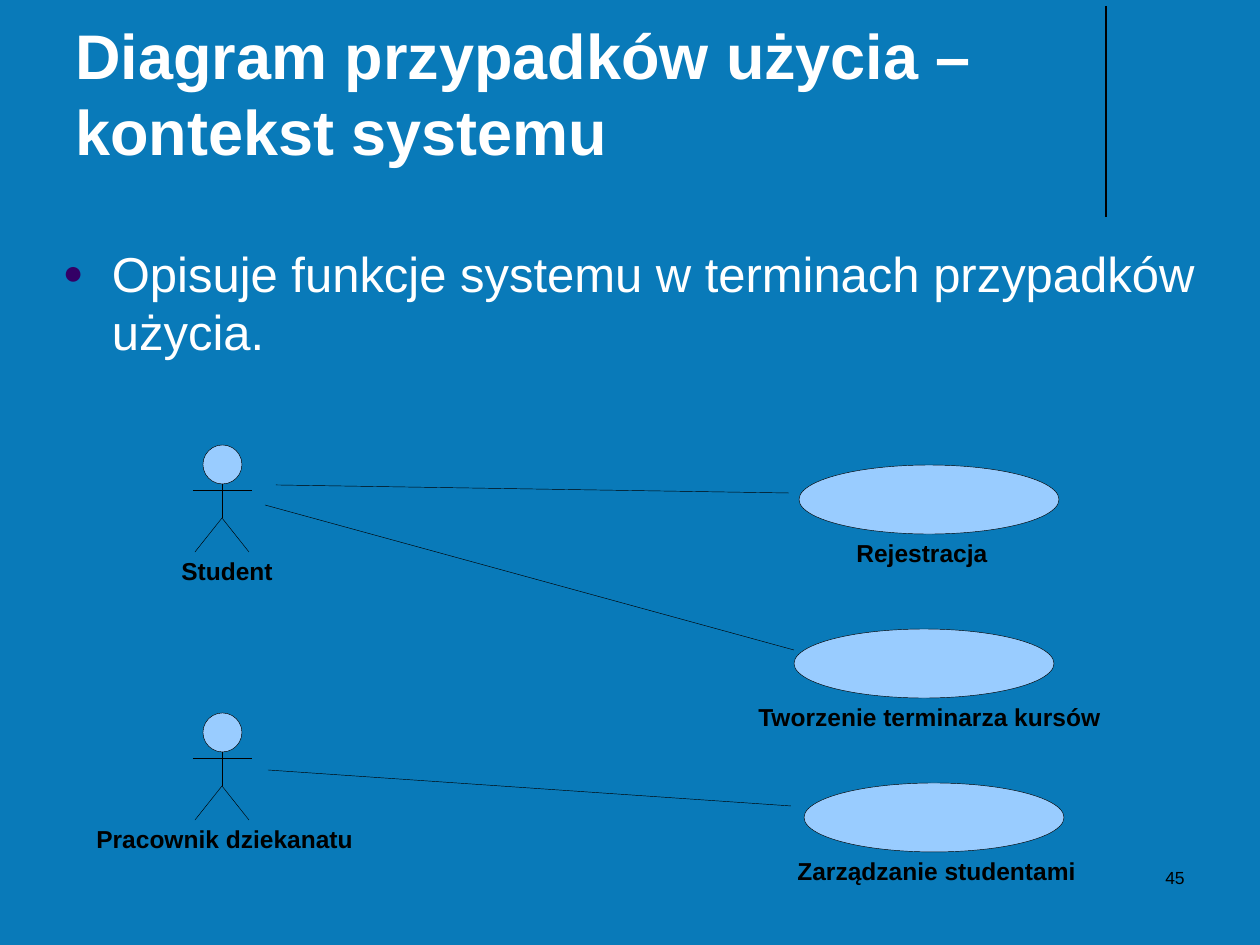
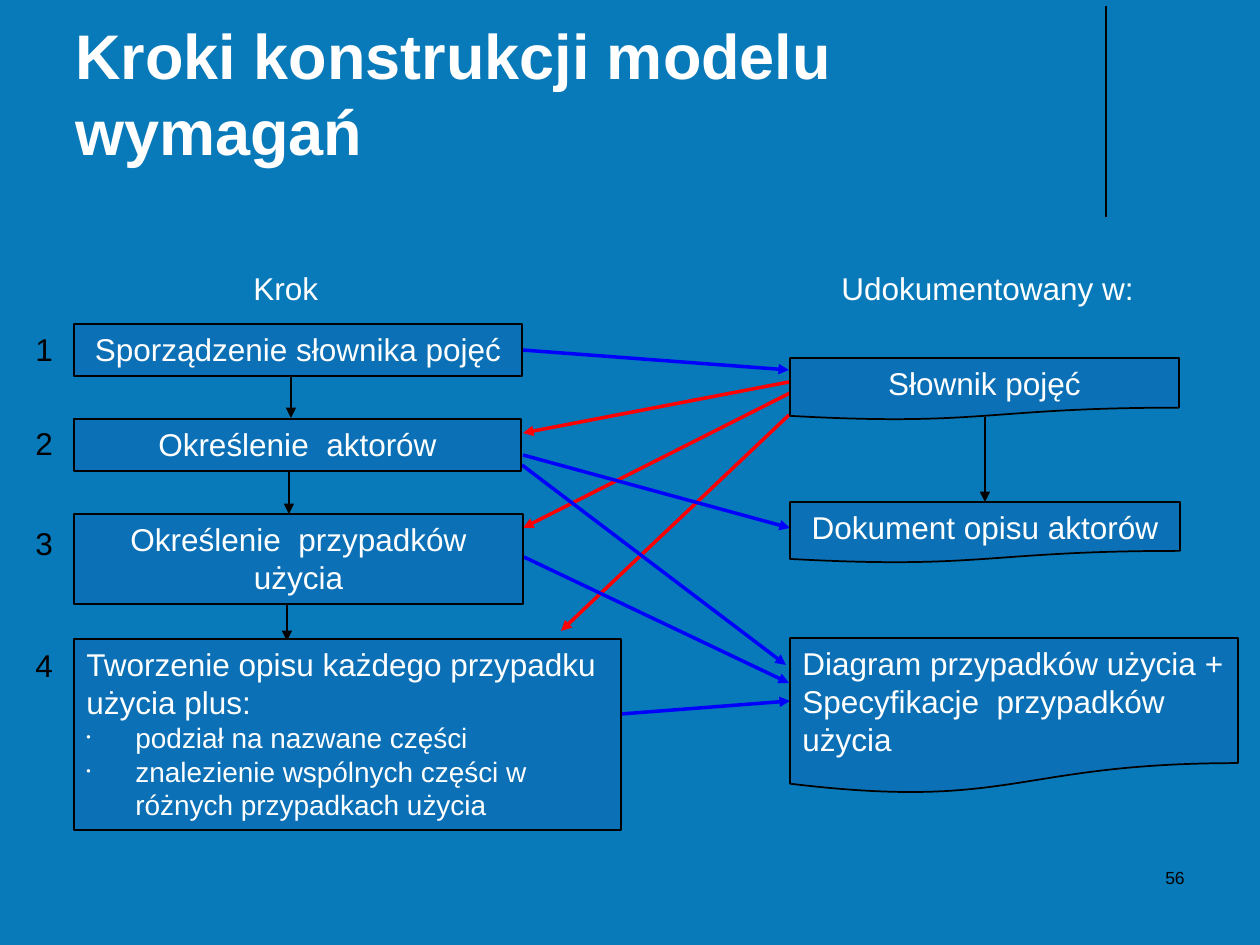
import pptx
import pptx.util
import pptx.dml.color
import pptx.enum.shapes
import pptx.enum.text
import pptx.oxml.ns
from lxml import etree

# ---- Shared style ----
PX = 914400 / 126
SIZE = (1260, 945)
FONT = "Arial"
HAIRLINE = 0.25
COLORS = {
    "background": "097AB9", "box": "0B70B5", "figure": "99CCFF",
    "white": "FFFFFF", "black": "000000", "bullet": "330066",
    "red": "FF0000", "blue": "0000FF",
}
TITLE_BOX = (63, 4, 1040, 170)
NUMBER_BOX = (903, 861, 294, 63)
RULE = (1106, 6, 1106, 217)
INDENT = 49
SHAPES = pptx.enum.shapes.MSO_SHAPE
ALIGN = pptx.enum.text.PP_ALIGN
ANCHOR = pptx.enum.text.MSO_ANCHOR

# ---- Use case diagram content ----
CONTEXT_TITLE = "Diagram przypadków użycia – kontekst systemu"
CONTEXT_POINT = "Opisuje funkcje systemu w terminach przypadków użycia."
CONTEXT_BOX = (63, 243, 1134, 120)
ACTOR_X = 222
ACTORS = [  # name, top of head, label left, label width
    ("Student", 445, 169, 126),
    ("Pracownik dziekanatu", 713, 84, 292),
]
USE_CASES = [  # name, ellipse left, ellipse top, label left, label width
    ("Rejestracja", 799, 465, 844, 166),
    ("Tworzenie terminarza kursów", 794, 629, 746, 379),
    ("Zarządzanie studentami", 804, 783, 785, 314),
]
ASSOCIATIONS = [(276, 485, 789, 493), (265, 505, 794, 650), (268, 770, 791, 806)]

# ---- Requirements model content ----
STEPS_TITLE = "Kroki konstrukcji modelu wymagań"
HEADINGS = [("Krok", (241, 263, 110, 50)), ("Udokumentowany w:", (829, 263, 328, 50))]
STEP_NUMBER_TOPS = [324, 418, 518, 640]
STEPS = [  # box, alignment, lines, bulleted lines
    ((74, 324, 448, 52), "CENTER", ["Sporządzenie słownika pojęć"], []),
    ((74, 419, 447, 52), "CENTER", ["Określenie  aktorów"], []),
    ((74, 514, 449, 90), "CENTER", ["Określenie  przypadków użycia"], []),
    ((74, 639, 547, 191), "LEFT",
     ["Tworzenie opisu każdego przypadku", "użycia plus:"],
     ["podział na nazwane części",
      "znalezienie wspólnych części w różnych przypadkach użycia"]),
]
DOCUMENTS = [
    ((790, 358, 389, 62), "CENTER", ["Słownik pojęć"], []),
    ((790, 502, 390, 61), "CENTER", ["Dokument opisu aktorów"], []),
    ((790, 638, 448, 156), "LEFT",
     ["Diagram przypadków użycia +", "Specyfikacje  przypadków", "użycia"], []),
]
ARROWS = {  # colour: (width in points, ends)
    "black": (1, [(291, 376, 291, 418), (289, 471, 289, 514),
                  (287, 599, 287, 641), (985, 417, 985, 502)]),
    "red": (2, [(789, 382, 523, 433), (790, 393, 523, 528), (789, 415, 561, 631)]),
    "blue": (2, [(522, 350, 789, 370), (523, 455, 790, 528), (621, 714, 790, 701),
                 (522, 465, 786, 665), (524, 557, 789, 683)]),
}


# ---- Helpers ----
def px(*values):
    return [round(v * PX) for v in values]


def color(name):
    return pptx.dml.color.RGBColor.from_string(COLORS[name])


def add_line(s, ends, width=HAIRLINE, name="black", arrow=False):
    c = s.shapes.add_connector(pptx.enum.shapes.MSO_CONNECTOR.STRAIGHT, *px(*ends))
    c.line.color.rgb = color(name)
    c.line.width = pptx.util.Pt(width)
    if arrow:
        etree.SubElement(c.line._get_or_add_ln(), pptx.oxml.ns.qn("a:tailEnd"),
                         type="triangle")
    etree.SubElement(c._element.spPr, pptx.oxml.ns.qn("a:effectLst"))
    return c


def add_figure(s, kind, box, fill, width=HAIRLINE):
    sp = s.shapes.add_shape(kind, *px(*box))
    sp.shadow.inherit = False
    sp.fill.solid()
    sp.fill.fore_color.rgb = color(fill)
    sp.line.color.rgb = color("black")
    sp.line.width = pptx.util.Pt(width)
    return sp


def add_bullet(p, char, name, percent):
    pPr = p._p.get_or_add_pPr()
    indent = px(INDENT)[0]
    pPr.set("marL", str(indent))
    pPr.set("indent", str(-indent))
    qn = pptx.oxml.ns.qn
    clr = etree.SubElement(pPr, qn("a:buClr"))
    etree.SubElement(clr, qn("a:srgbClr"), val=COLORS[name])
    etree.SubElement(pPr, qn("a:buSzPct"), val=str(percent * 1000))
    etree.SubElement(pPr, qn("a:buFont"), typeface=FONT)
    etree.SubElement(pPr, qn("a:buChar"), char=char)


def add_run(p, text, size, name="white", bold=False, align="LEFT"):
    p.alignment = getattr(ALIGN, align)
    r = p.add_run()
    r.text = text
    r.font.color.rgb = color(name)
    for key, value in {"name": FONT, "size": pptx.util.Pt(size), "bold": bold}.items():
        setattr(r.font, key, value)


def write(sp, lines, size, anchor="TOP", wrap=True, **style):
    tf = sp.text_frame
    tf.word_wrap = wrap
    tf.vertical_anchor = getattr(ANCHOR, anchor)
    for i, line in enumerate(lines):
        p = tf.add_paragraph() if i else tf.paragraphs[0]
        add_run(p, line, size, **style)
    return tf


def add_text(s, box, text, size, **style):
    return write(s.shapes.add_textbox(*px(*box)), [text], size, **style)


def add_slide(prs, title, number):
    s = prs.slides.add_slide(prs.slide_layouts[6])
    s.background.fill.solid()
    s.background.fill.fore_color.rgb = color("background")
    add_line(s, RULE, 0.75)
    add_text(s, TITLE_BOX, title, 36, bold=True, anchor="BOTTOM")
    add_text(s, NUMBER_BOX, number, 10, name="black", align="RIGHT")
    return s


def add_label(s, text, left, top, width):
    add_text(s, (left, top, width, 42), text, 14, name="black", bold=True, wrap=True)


def add_actor(s, x, top):
    hip, foot = top + 73, top + 107
    add_line(s, (x, hip, x, top + 20))
    add_figure(s, SHAPES.OVAL, (x - 19, top, 39, 39), "figure")
    add_line(s, (x - 29, top + 45, x + 30, top + 45))
    for side in (-27, 27):
        add_line(s, (x, hip, x + side, foot))


def add_box(s, kind, box, align, lines, points):
    sp = add_figure(s, kind, box, "box", 1)
    tf = write(sp, lines, 18, align=align)
    for point in points:
        p = tf.add_paragraph()
        add_run(p, point, 16)
        add_bullet(p, "•", "white", 45)
    return sp


# ---- Slides ----
def build_context(prs):
    s = add_slide(prs, CONTEXT_TITLE, "45")
    tf = add_text(s, CONTEXT_BOX, CONTEXT_POINT, 28)
    for side in ("left", "top", "right", "bottom"):
        setattr(tf, "margin_" + side, 0)
    tf.paragraphs[0].space_before = pptx.util.Pt(7)
    add_bullet(tf.paragraphs[0], "●", "bullet", 70)
    for name, top, left, width in ACTORS:
        add_actor(s, ACTOR_X, top)
        add_label(s, name, left, top + 105, width)
    for name, x, y, left, width in USE_CASES:
        add_figure(s, SHAPES.OVAL, (x, y, 260, 69), "figure")
        add_label(s, name, left, y + 67, width)
    for ends in ASSOCIATIONS:
        add_line(s, ends)


def build_steps(prs):
    s = add_slide(prs, STEPS_TITLE, "56")
    for text, box in HEADINGS:
        add_text(s, box, text, 18)
    for i, top in enumerate(STEP_NUMBER_TOPS, 1):
        add_text(s, (23, top, 43, 50), str(i), 18, name="black")
    # Arrows lie under the boxes
    arrows = {name: [add_line(s, ends, width, name, True) for ends in group]
              for name, (width, group) in ARROWS.items()}
    steps = [add_box(s, SHAPES.RECTANGLE, *step) for step in STEPS]
    documents = [add_box(s, SHAPES.FLOWCHART_DOCUMENT, *doc) for doc in DOCUMENTS]
    arrows["blue"][0].begin_connect(steps[0], 3)
    arrows["black"][-1].end_connect(documents[1], 0)


def main():
    prs = pptx.Presentation()
    prs.slide_width, prs.slide_height = px(*SIZE)
    build_context(prs)
    build_steps(prs)
    prs.save("out.pptx")


if __name__ == "__main__":
    main()
